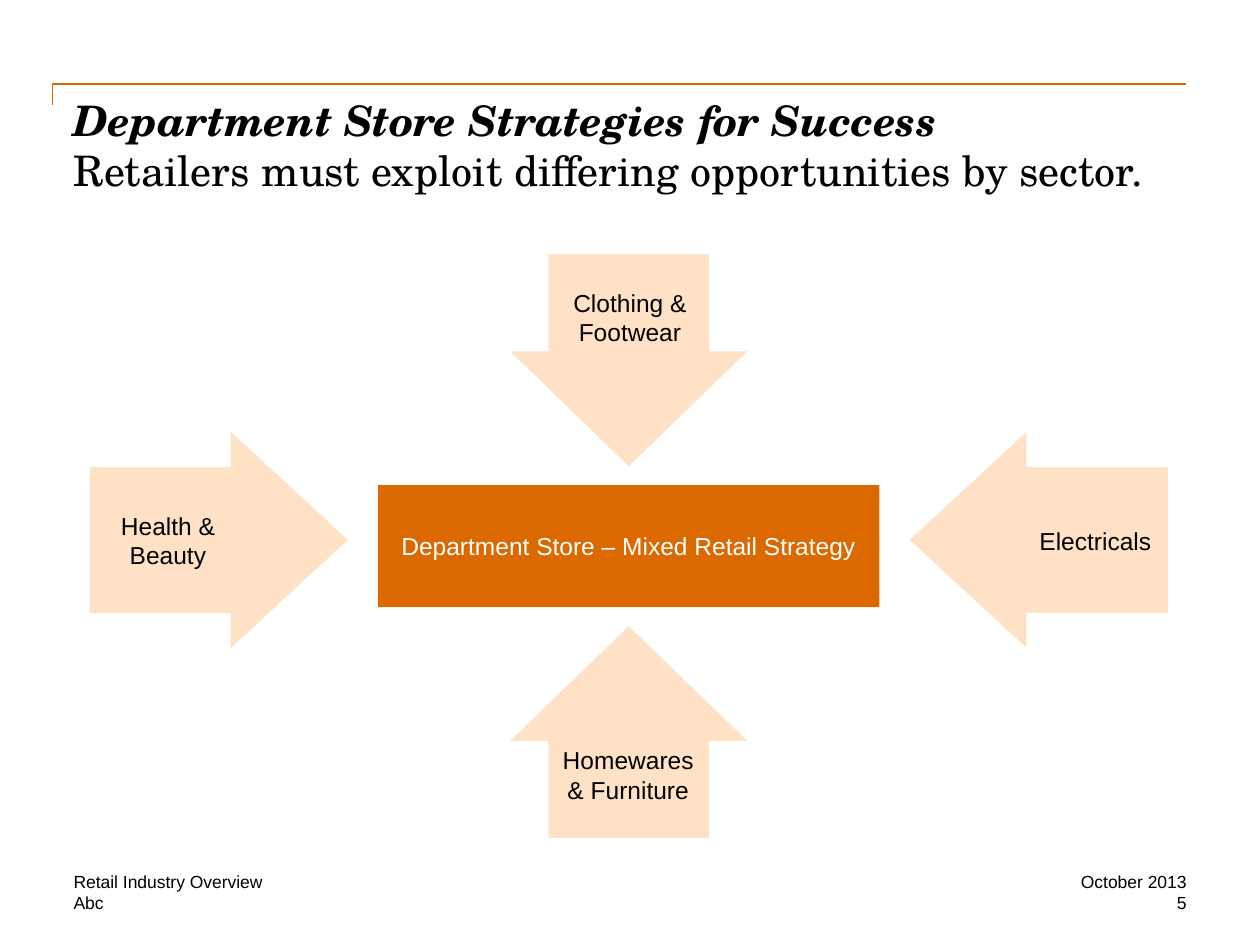
from pptx import Presentation
from pptx.dml.color import RGBColor as RGB
from pptx.enum.shapes import MSO_SHAPE as Geo
from pptx.enum.text import MSO_ANCHOR as Anchor, PP_ALIGN as Align
from pptx.util import Pt

# Theme
THEME = dict(
    accent="DC6900", pale="FFE1C5", ink="000000", paper="FFFFFF",
    head="TeX Gyre Schola", body="Arial", title=24, label=14, foot=10,
)
LEFT, MID, RIGHT = Align.LEFT, Align.CENTER, Align.RIGHT
TOP, CENTRE, BASE = Anchor.TOP, Anchor.MIDDLE, Anchor.BOTTOM

# Content: boxes are left, top, width, height
TITLE = [
    ("Department Store Strategies for Success", True),
    ("Retailers must exploit differing opportunities by sector.", False),
]
HUB = "Department Store – Mixed Retail Strategy"
HUB_BOX = (216, 277.2, 286.5, 69.8)
LABELS = [
    ("Clothing & Footwear", (318, 164, 84, 34), MID, BASE),
    ("Health & Beauty", (60, 291.8, 72, 34), MID, CENTRE),
    ("Electricals", (594, 300.3, 72, 17), LEFT, CENTRE),
    ("Homewares & Furniture", (317, 426, 84, 34), MID, TOP),
]
FOOT = [
    ("Retail Industry Overview", (42, 498, 414, 12), LEFT, BASE),
    ("Abc", (42, 510, 204, 12), LEFT, TOP),
    ("October 2013", (558, 498, 120, 12), RIGHT, TOP),
    ("5", (558, 510, 120, 12), RIGHT, TOP),
]

# Arrows: preset, centre, size; opposite pairs mirror about the axis
AXIS = 359.3
TALL, WIDE = (135.4, 121), (147.6, 123.1)
ARROWS = [
    (Geo.UP_ARROW, (AXIS, 418.3), TALL),
    (Geo.DOWN_ARROW, (AXIS, 205.9), TALL),
    (Geo.LEFT_ARROW, (AXIS + 234.3, 308.5), WIDE),
    (Geo.RIGHT_ARROW, (AXIS - 234.3, 308.5), WIDE),
]
SHAFT, POINT = 0.678, 0.542
RULE = [(30, 60), (30, 48), (678, 48)]


def style(obj, form):
    for key, val in form.items():
        setattr(obj, key, val)


def tint(name):
    return RGB.from_string(THEME[name])


def frame(shape, anchor, pad=(0, 0)):
    side, edge = map(Pt, pad)
    text = shape.text_frame
    style(text, dict(
        word_wrap=True, vertical_anchor=anchor, margin_left=side,
        margin_right=side, margin_top=edge, margin_bottom=edge,
    ))
    return text


def write(para, words, size, color="ink", face="body", **more):
    run = para.add_run()
    run.text = words
    style(run.font, dict(name=THEME[face], size=Pt(THEME[size]), **more))
    run.font.color.rgb = tint(color)


def block(shapes, geo, box, color):
    shape = shapes.add_shape(geo, *map(Pt, box))
    shape.shadow.inherit = False
    shape.fill.solid()
    shape.fill.fore_color.rgb = tint(color)
    shape.line.fill.background()
    return shape


def note(shapes, words, box, align, anchor, size):
    para = frame(shapes.add_textbox(*map(Pt, box)), anchor).paragraphs[0]
    para.alignment = align
    write(para, words, size)


def main():
    deck = Presentation()
    style(deck, dict(slide_width=Pt(720), slide_height=Pt(540)))
    shapes = deck.slides.add_slide(deck.slide_layouts[6]).shapes

    # Header rule
    path = shapes.build_freeform(*RULE[0], scale=Pt(1))
    path.add_line_segments(RULE[1:], close=False)
    rule = path.convert_to_shape()
    rule.shadow.inherit = False
    rule.fill.background()
    rule.line.color.rgb = tint("accent")
    rule.line.width = Pt(1)

    # Title
    box = shapes.add_textbox(*map(Pt, (42, 54, 636, 72)))
    para = frame(box, TOP).paragraphs[0]
    for row, (words, strong) in enumerate(TITLE):
        if row:
            para.add_line_break()
        write(para, words, "title", face="head", bold=strong, italic=strong)

    # Arrows
    for geo, (x, y), (w, h) in ARROWS:
        arrow = block(shapes, geo, (x - w / 2, y - h / 2, w, h), "pale")
        arrow.adjustments[0], arrow.adjustments[1] = SHAFT, POINT

    # Hub
    hub = block(shapes, Geo.RECTANGLE, HUB_BOX, "accent")
    para = frame(hub, CENTRE, (3.6, 2)).paragraphs[0]
    para.alignment = MID
    write(para, HUB, "label", "paper")

    # Labels and footer
    for size, items in (("label", LABELS), ("foot", FOOT)):
        for item in items:
            note(shapes, *item, size)

    deck.save("out.pptx")


if __name__ == "__main__":
    main()
